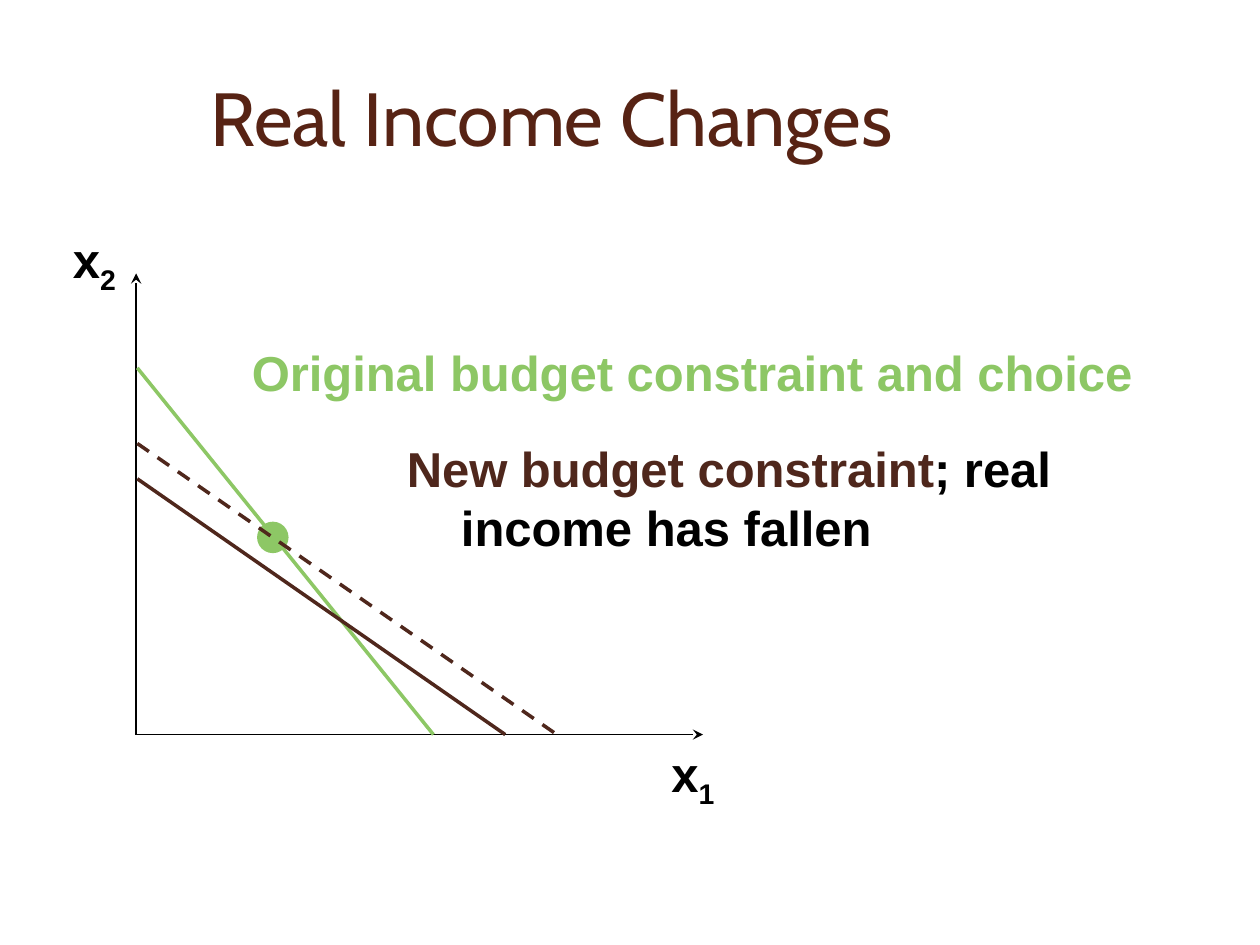
from dataclasses import dataclass

from lxml import etree
from pptx import Presentation
from pptx import util as u
from pptx.dml.color import RGBColor
from pptx.enum import dml, shapes, text
from pptx.oxml import ns

COLS, ROWS = 100, 75


@dataclass(frozen=True)
class Theme:
    title: str = "572314"
    ink: str = "000000"
    original: str = "8DC765"
    new: str = "4F271C"
    title_font: str = "Cabin"
    body_font: str = "Arial"
    title_size: int = 43
    body_size: int = 28
    axis_width: int = 1
    budget_width: int = 2


@dataclass(frozen=True)
class Line:
    start: tuple[float, float]
    end: tuple[float, float]
    color: str
    width: int
    arrow: str = ""
    dashed: bool = False


@dataclass(frozen=True)
class Dot:
    box: tuple[float, float, float, float]
    color: str


@dataclass(frozen=True)
class Run:
    text: str
    color: str
    subscript: bool = False


@dataclass(frozen=True)
class Label:
    box: tuple[float, float, float, float]
    runs: tuple[Run, ...]
    hang: float = 0


T = Theme()
prs = Presentation()
prs.slide_width, prs.slide_height = u.Inches(10), u.Inches(7.5)


def x(cols: float) -> int:
    return round(prs.slide_width * cols / COLS)


def y(rows: float) -> int:
    return round(prs.slide_height * rows / ROWS)


def place(box: tuple[float, float, float, float]) -> tuple[int, int, int, int]:
    left, top, width, height = box
    return x(left), y(top), x(width), y(height)


def style(r, font: str, size: int, color: str, bold: bool) -> None:
    r.font.name, r.font.size, r.font.bold = font, u.Pt(size), bold
    r.font.color.rgb = RGBColor.from_string(color)


def draw_title(s, box: tuple[float, float, float, float], words: str) -> None:
    sp = s.shapes.title
    sp.left, sp.top, sp.width, sp.height = place(box)
    tf = sp.text_frame
    tf.vertical_anchor = text.MSO_ANCHOR.MIDDLE
    tf.auto_size = text.MSO_AUTO_SIZE.NONE
    p = tf.paragraphs[0]
    p.alignment = text.PP_ALIGN.LEFT
    r = p.add_run()
    r.text = words
    style(r, T.title_font, T.title_size, T.title, False)


def draw_line(s, item: Line) -> None:
    (x1, y1), (x2, y2) = item.start, item.end
    sp = s.shapes.add_connector(shapes.MSO_CONNECTOR.STRAIGHT, x(x1), y(y1), x(x2), y(y2))
    sp.line.color.rgb = RGBColor.from_string(item.color)
    sp.line.width = u.Pt(item.width)
    if item.dashed:
        sp.line.dash_style = dml.MSO_LINE.DASH
    if item.arrow:
        etree.SubElement(sp.line._get_or_add_ln(), ns.qn(f"a:{item.arrow}"), type="stealth")
    etree.SubElement(sp._element.spPr, ns.qn("a:effectLst"))


def draw_dot(s, item: Dot) -> None:
    sp = s.shapes.add_shape(shapes.MSO_SHAPE.OVAL, *place(item.box))
    sp.shadow.inherit = False
    sp.fill.solid()
    sp.fill.fore_color.rgb = RGBColor.from_string(item.color)
    sp.line.fill.background()


def draw_label(s, item: Label) -> None:
    tf = s.shapes.add_textbox(*place(item.box)).text_frame
    tf.word_wrap = False
    tf.auto_size = text.MSO_AUTO_SIZE.SHAPE_TO_FIT_TEXT
    p = tf.paragraphs[0]
    if item.hang:
        pPr = p._p.get_or_add_pPr()
        pPr.set("marL", str(x(item.hang)))
        pPr.set("indent", str(-x(item.hang)))
    for run in item.runs:
        for i, part in enumerate(run.text.split("\n")):
            if i:
                p.add_line_break()
            r = p.add_run()
            r.text = part
            style(r, T.body_font, T.body_size, run.color, True)
            if run.subscript:
                r._r.get_or_add_rPr().set("baseline", "-25000")


def axis_label(left: float, top: float, index: str) -> Label:
    return Label((left, top, 5.7, 5.7), (Run("x", T.ink), Run(index, T.ink, True)))


def budget(top: float, right: float, color: str, dashed: bool = False) -> Line:
    return Line((10.9, top), (right, ORIGIN[1]), color, T.budget_width, dashed=dashed)


ORIGIN = (10.8, 58.3)
ITEMS = (
    Line((ORIGIN[0], 21.7), ORIGIN, T.ink, T.axis_width, "headEnd"),
    Line(ORIGIN, (55.8, ORIGIN[1]), T.ink, T.axis_width, "tailEnd"),
    axis_label(52.3, 58.5, "1"),
    axis_label(4.8, 17.7, "2"),
    budget(29.2, 34.4, T.original),
    Dot((20.4, 41.4, 2.5, 2.5), T.original),
    Label((19, 26.7, 72, 5.7), (Run("Original budget constraint and choice", T.original),)),
    budget(38, 40.1, T.new),
    Label(
        (31.3, 34.3, 53.2, 10.3),
        (Run("New budget constraint", T.new), Run("; real\nincome has fallen", T.ink)),
        hang=4.3,
    ),
    budget(35.2, 44.2, T.new, dashed=True),
)
DRAW = {Line: draw_line, Dot: draw_dot, Label: draw_label}


def main() -> None:
    s = prs.slides.add_slide(prs.slide_layouts[5])
    draw_title(s, (15.7, 3, 82, 12.5), "Real Income Changes")
    for item in ITEMS:
        DRAW[type(item)](s, item)
    prs.save("out.pptx")


if __name__ == "__main__":
    main()
